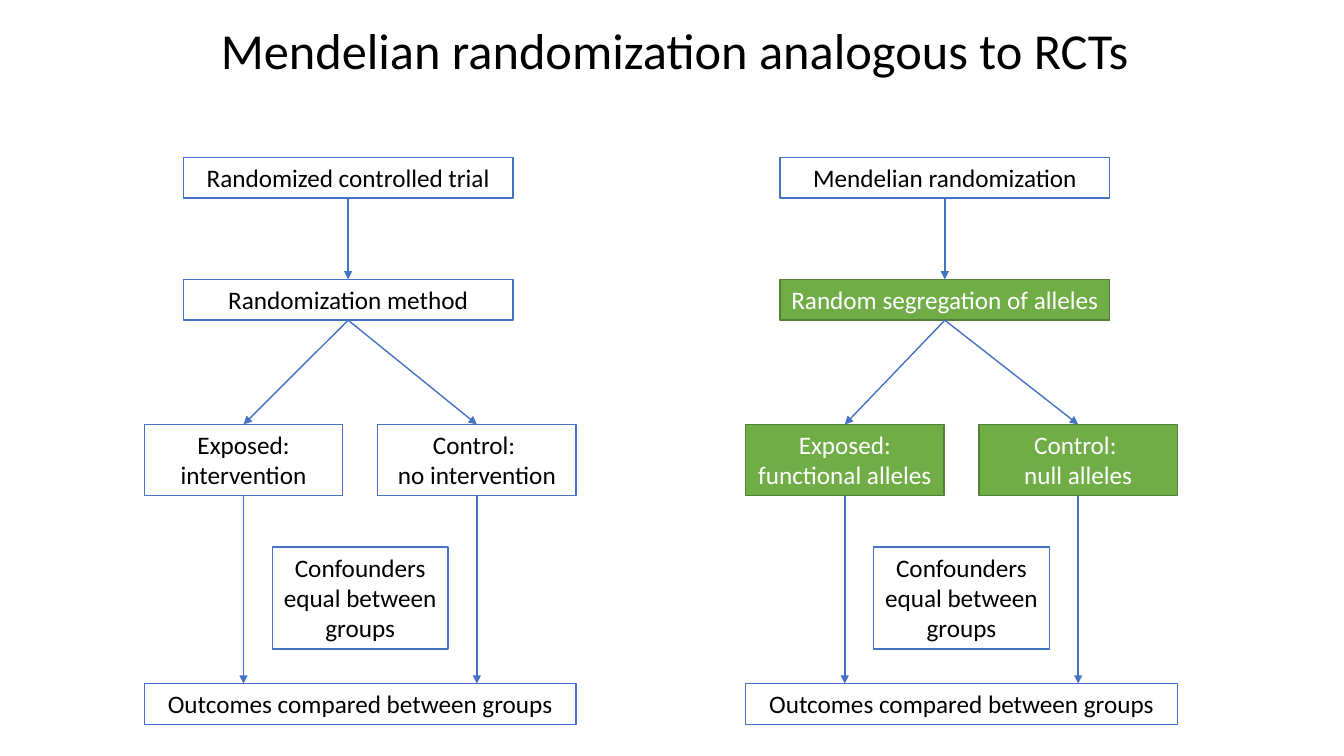
from lxml import etree
from pptx import Presentation
from pptx.dml.color import RGBColor
from pptx.enum import shapes, text
from pptx.oxml import ns
from pptx.util import Pt

BLUE = RGBColor(0x44, 0x72, 0xC4)
GREEN = RGBColor(0x70, 0xAD, 0x47)
DARK = RGBColor(0x53, 0x80, 0x35)
BLACK = RGBColor(0, 0, 0)
WHITE = RGBColor(255, 255, 255)

PLAIN = {"fill": WHITE, "line": BLUE, "ink": BLACK}
GENE = {"fill": GREEN, "line": DARK, "ink": WHITE}

TOP, SPLIT, ARMS, MID, END = 112.4, 199.6, 303.2, 390.8, 488.3
LOW, TALL, BIG = 29.1, 50.9, 72.7
WIDE, ARM, NOTE, FULL = 235.4, 141.7, 125.5, 308.4


class Chart:
    def __init__(self, deck):
        self.slide = deck.slides.add_slide(deck.slide_layouts[5])
        self.group = None
        self.font = {"name": "Calibri", "bold": False}

    def label(self, shape, words, size, ink, align, anchor, wrap):
        frame = shape.text_frame
        frame.text = words
        form = {"word_wrap": wrap, "vertical_anchor": anchor,
                "auto_size": text.MSO_AUTO_SIZE.SHAPE_TO_FIT_TEXT}
        for key, value in form.items():
            setattr(frame, key, value)
        for para in frame.paragraphs:
            para.alignment = align
            for key, value in {**self.font, "size": Pt(size)}.items():
                setattr(para.font, key, value)
            para.font.color.rgb = ink

    def title(self, words, x, y, w, h):
        shape = self.slide.shapes.title
        place = {"left": x, "top": y, "width": w, "height": h}
        for key, value in place.items():
            setattr(shape, key, Pt(value))
        self.label(shape, words, 36, BLACK, text.PP_ALIGN.LEFT,
                   text.MSO_ANCHOR.TOP, False)

    def start(self):
        """Open a new group that takes the boxes and arrows that follow."""
        self.group = self.slide.shapes.add_group_shape().shapes

    def box(self, words, x, y, w, h, look=PLAIN):
        shape = self.group.add_shape(shapes.MSO_SHAPE.RECTANGLE,
                                     Pt(x), Pt(y), Pt(w), Pt(h))
        shape.shadow.inherit = False
        shape.fill.solid()
        shape.fill.fore_color.rgb = look["fill"]
        shape.line.color.rgb = look["line"]
        shape.line.width = Pt(1)
        self.label(shape, words, 18, look["ink"], text.PP_ALIGN.CENTER,
                   text.MSO_ANCHOR.TOP, True)
        return shape

    def arrow(self, head, foot, drop=False):
        """Link two boxes; drop keeps the arrow vertical."""
        x = head.left + head.width // 2
        goal = x if drop else foot.left + foot.width // 2
        link = self.group.add_connector(shapes.MSO_CONNECTOR.STRAIGHT, x,
                                        head.top + head.height, goal, foot.top)
        link.begin_connect(head, 2)
        if not drop:
            link.end_connect(foot, 0)
        link.line.color.rgb = BLUE
        link.line.width = Pt(1)
        props = link.element.spPr
        etree.SubElement(props.find(ns.qn("a:ln")), ns.qn("a:tailEnd"),
                         type="triangle")
        etree.SubElement(props, ns.qn("a:effectLst"))

    def flow(self, x, inset, name, method, arms, look):
        """Draw one trial design, from its name down to the outcomes."""
        self.start()
        first = self.box(name, x + inset, TOP, WIDE, LOW)
        split = self.box(method, x + inset, SPLIT, WIDE, LOW, look)
        pair = [self.box(words, x + i * (FULL - ARM), ARMS, ARM, TALL, look)
                for i, words in enumerate(arms)]
        self.box("Confounders equal between groups", x + 91.4, MID, NOTE, BIG)
        last = self.box("Outcomes compared between groups", x, END, FULL, LOW)
        self.arrow(first, split)
        for arm in pair:
            self.arrow(split, arm)
            self.arrow(arm, last, drop=True)


def main():
    deck = Presentation()
    deck.slide_width, deck.slide_height = Pt(960), Pt(540)
    chart = Chart(deck)
    chart.flow(532.6, 24.6, "Mendelian randomization",
               "Random segregation of alleles",
               ("Exposed: functional alleles", "Control: \nnull alleles"), GENE)
    chart.flow(103.1, 27.9, "Randomized controlled trial",
               "Randomization method",
               ("Exposed: intervention", "Control: \nno intervention"), PLAIN)
    chart.title("Mendelian randomization analogous to RCTs",
                150.5, 10.1, 668.9, 50.9)
    deck.save("out.pptx")


if __name__ == "__main__":
    main()
